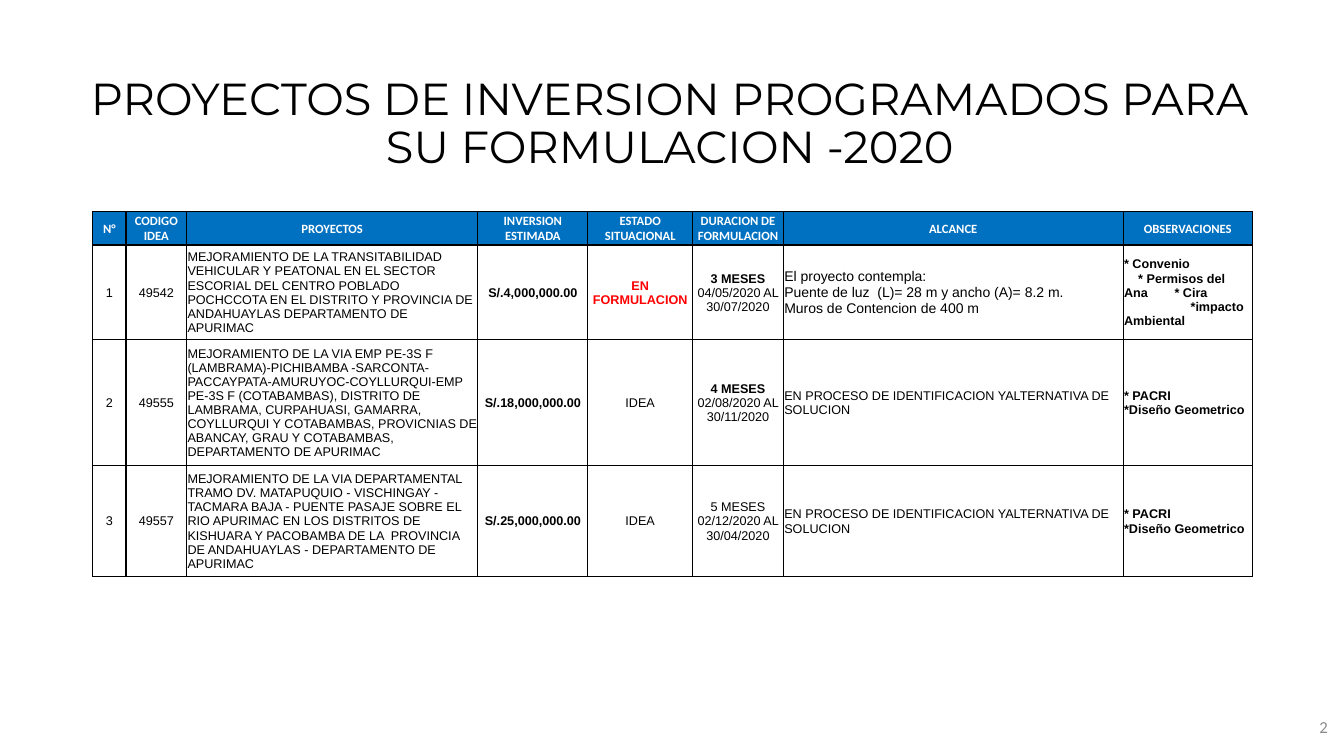
import pptx
import pptx.util
import pptx.dml.color
import pptx.enum.text
import pptx.oxml.ns
import lxml.etree

COLORS = {"heading": "0070C0", "paper": "FFFFFF", "ink": "000000",
          "alert": "FF0000", "number": "8C8C8C"}
GRID_COLUMNS, GRID_ROWS = 1333, 750
ALIGN = pptx.enum.text.PP_ALIGN
ANCHOR = pptx.enum.text.MSO_ANCHOR

deck = pptx.Presentation()
deck.slide_width = pptx.util.Inches(13.33)
deck.slide_height = pptx.util.Inches(7.5)

HEADINGS = ["N°", "CODIGO IDEA", "PROYECTOS", "INVERSION ESTIMADA", "ESTADO SITUACIONAL",
            "DURACION DE FORMULACION", "ALCANCE", "OBSERVACIONES"]
PROJECT, INVESTMENT, STATUS, DURATION, SCOPE, REMARKS = range(2, 8)
PENDING_SCOPE = "EN PROCESO DE IDENTIFICACION YALTERNATIVA DE SOLUCION"
PENDING_REMARKS = "* PACRI\n*Diseño Geometrico"
PROJECTS = [
    ["1", "49542",
     "MEJORAMIENTO DE LA TRANSITABILIDAD VEHICULAR Y PEATONAL EN EL SECTOR ESCORIAL DEL "
     "CENTRO POBLADO POCHCCOTA EN EL DISTRITO Y PROVINCIA DE ANDAHUAYLAS DEPARTAMENTO DE APURIMAC",
     "S/.4,000,000.00", "EN FORMULACION", "3 MESES\n04/05/2020 AL 30/07/2020",
     "El proyecto contempla:\nPuente de luz  (L)= 28 m y ancho (A)= 8.2 m.\n"
     "Muros de Contencion de 400 m",
     "* Convenio\n* Permisos del Ana\t* Cira\n*impacto Ambiental"],
    ["2", "49555",
     "MEJORAMIENTO DE LA VIA EMP PE-3S F (LAMBRAMA)-PICHIBAMBA -SARCONTA-PACCAYPATA-AMURUYOC-"
     "COYLLURQUI-EMP PE-3S F (COTABAMBAS), DISTRITO DE LAMBRAMA, CURPAHUASI, GAMARRA, COYLLURQUI "
     "Y COTABAMBAS, PROVICNIAS DE ABANCAY, GRAU Y COTABAMBAS, DEPARTAMENTO DE APURIMAC",
     "S/.18,000,000.00", "IDEA", "4 MESES\n02/08/2020 AL 30/11/2020",
     PENDING_SCOPE, PENDING_REMARKS],
    ["3", "49557",
     "MEJORAMIENTO DE LA VIA DEPARTAMENTAL TRAMO DV. MATAPUQUIO - VISCHINGAY - TACMARA BAJA - "
     "PUENTE PASAJE SOBRE EL RIO APURIMAC EN LOS DISTRITOS DE KISHUARA Y PACOBAMBA DE LA  "
     "PROVINCIA DE ANDAHUAYLAS - DEPARTAMENTO DE APURIMAC",
     "S/.25,000,000.00", "IDEA", "5 MESES\n02/12/2020 AL 30/04/2020",
     PENDING_SCOPE, PENDING_REMARKS],
]
COLUMN_SPANS = [33, 60, 289, 109, 104, 90, 337, 128]
ROW_SPANS = [33, 94, 125, 110]


def across(columns):
    return round(deck.slide_width * columns / GRID_COLUMNS)


def down(rows):
    return round(deck.slide_height * rows / GRID_ROWS)


def place(box):
    left, top, width, height = box
    return across(left), down(top), across(width), down(height)


def style(paragraph, size, font, color, align, bold=False):
    paragraph.alignment = align
    for run in paragraph.runs:
        run.font.size = pptx.util.Pt(size)
        run.font.name = font
        run.font.bold = bold
        run.font.color.rgb = pptx.dml.color.RGBColor.from_string(COLORS[color])


def prepare(frame, anchor):
    frame.margin_left = frame.margin_right = frame.margin_top = frame.margin_bottom = 0
    frame.word_wrap = True
    frame.auto_size = pptx.enum.text.MSO_AUTO_SIZE.NONE
    frame.vertical_anchor = anchor


def add_title(slide, box):
    title = slide.shapes.title
    title.left, title.top, title.width, title.height = place(box)
    prepare(title.text_frame, ANCHOR.BOTTOM)
    title.text_frame.text = "PROYECTOS DE INVERSION PROGRAMADOS PARA SU FORMULACION -2020"
    heading = title.text_frame.paragraphs[0]
    heading.line_spacing = 0.9
    style(heading, 32, "Montserrat", "ink", ALIGN.CENTER)


def add_page_number(slide, box):
    frame = slide.shapes.add_textbox(*place(box)).text_frame
    prepare(frame, ANCHOR.MIDDLE)
    frame.text = "2"
    style(frame.paragraphs[0], 12, "Calibri", "number", ALIGN.RIGHT)


def draw_borders(cell):
    properties = cell._tc.get_or_add_tcPr()
    for index, side in enumerate(("lnL", "lnR", "lnT", "lnB")):
        line = lxml.etree.Element(pptx.oxml.ns.qn("a:" + side), w=str(pptx.util.Pt(1)))
        fill = lxml.etree.SubElement(line, pptx.oxml.ns.qn("a:solidFill"))
        lxml.etree.SubElement(fill, pptx.oxml.ns.qn("a:srgbClr"), val=COLORS["ink"])
        properties.insert(index, line)


def fill_cell(cell, text, color):
    cell.text_frame.text = text
    cell.vertical_anchor = ANCHOR.MIDDLE
    cell.margin_left = cell.margin_right = cell.margin_top = across(1)
    cell.margin_bottom = 0
    cell.fill.solid()
    cell.fill.fore_color.rgb = pptx.dml.color.RGBColor.from_string(COLORS[color])
    draw_borders(cell)


def style_project_cell(cell, column):
    for position, paragraph in enumerate(cell.text_frame.paragraphs):
        urgent = paragraph.text == "EN FORMULACION"
        short_term = column == DURATION and paragraph.text in ("3 MESES", "4 MESES")
        detailed = column == SCOPE and len(cell.text_frame.paragraphs) > 1
        style(paragraph, 10 if detailed else 9, "Arial", "alert" if urgent else "ink",
              ALIGN.LEFT if column in (PROJECT, SCOPE, REMARKS) else ALIGN.CENTER,
              column in (INVESTMENT, REMARKS) or urgent or short_term)


def indent_permits(cell):
    for paragraph, indent in zip(cell.text_frame.paragraphs, (0, 14, 66)):
        properties = paragraph._p.get_or_add_pPr()
        properties.set("marL", "0")
        properties.set("indent", str(across(indent)))
        stops = lxml.etree.SubElement(properties, pptx.oxml.ns.qn("a:tabLst"))
        lxml.etree.SubElement(stops, pptx.oxml.ns.qn("a:tab"), pos=str(across(66)), algn="l")


def add_projects_table(slide, box):
    table = slide.shapes.add_table(len(ROW_SPANS), len(COLUMN_SPANS), *place(box)).table
    table.horz_banding = False
    for column, span in zip(table.columns, COLUMN_SPANS):
        column.width = across(box[2] * span / sum(COLUMN_SPANS))
    for row, span in zip(table.rows, ROW_SPANS):
        row.height = down(box[3] * span / sum(ROW_SPANS))
    for column, heading in enumerate(HEADINGS):
        cell = table.cell(0, column)
        fill_cell(cell, heading, "heading")
        style(cell.text_frame.paragraphs[0], 9, "Calibri", "paper", ALIGN.CENTER, True)
    for row, project in enumerate(PROJECTS, 1):
        for column, text in enumerate(project):
            fill_cell(table.cell(row, column), text, "paper")
            style_project_cell(table.cell(row, column), column)
    indent_permits(table.cell(1, REMARKS))


def build_projects_slide():
    slide = deck.slides.add_slide(deck.slide_layouts[5])
    add_title(slide, (87, 44, 1155, 128))
    add_page_number(slide, (1237, 693, 80, 57))
    add_projects_table(slide, (92, 210, 1150, 362))


build_projects_slide()
deck.save("out.pptx")
